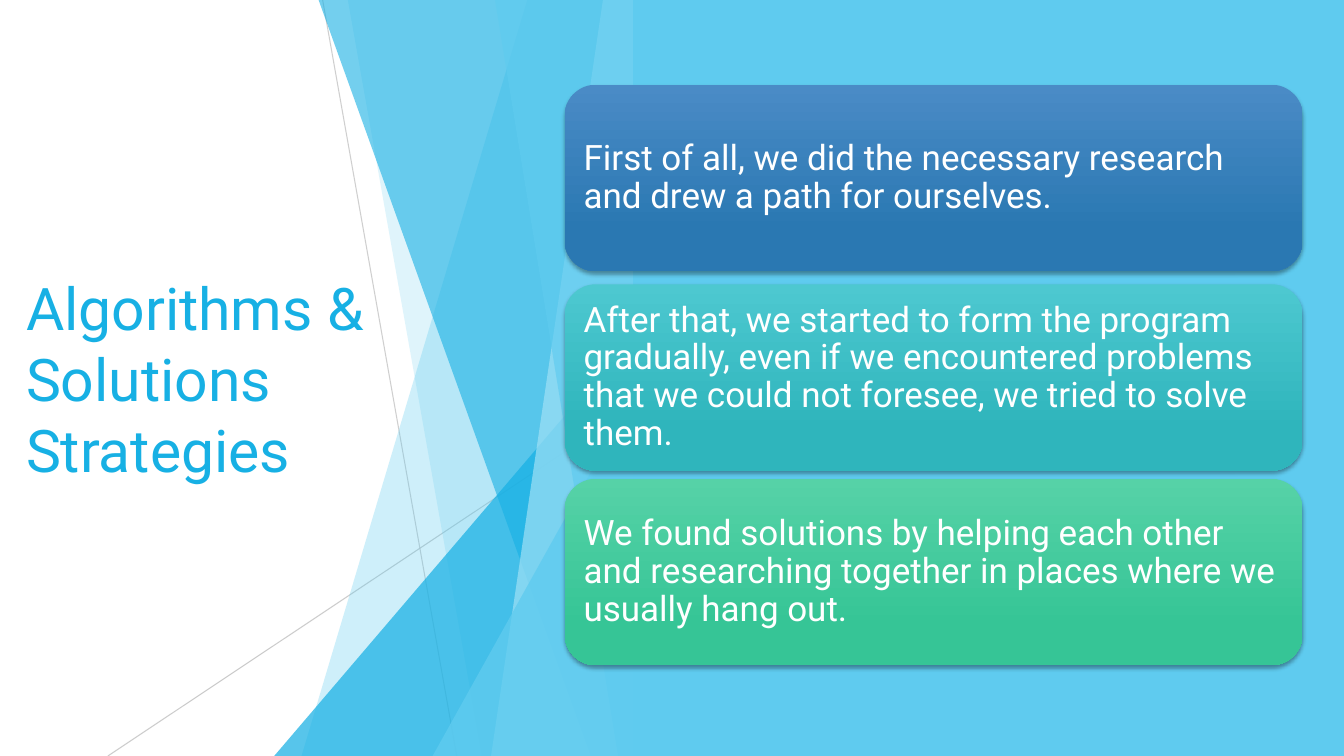
"""Build the strategies slide: a title, a faceted divider and three cards."""
from lxml import etree
from pptx import Presentation
from pptx.dml.color import RGBColor
from pptx.enum.shapes import MSO_CONNECTOR, MSO_SHAPE
from pptx.enum.text import MSO_ANCHOR, PP_ALIGN
from pptx.oxml.ns import qn
from pptx.util import Inches, Pt

LINE = MSO_CONNECTOR.STRAIGHT
TRI, RECT, ROUND = MSO_SHAPE.ISOSCELES_TRIANGLE, MSO_SHAPE.RECTANGLE, MSO_SHAPE.ROUNDED_RECTANGLE
MIDDLE, LEFT = MSO_ANCHOR.MIDDLE, PP_ALIGN.LEFT

WIDE, HIGH, EDGE = 13.33, 7.5, 6.28
TITLE = "Algorithms & Solutions Strategies"
RULES = [((3.2, 0), (4.53, HIGH), 75), ((EDGE, 4.03), (1.07, HIGH), 80)]
FACETS = [
    ("slab", 5.23, 2.99, "5FCBEF", 30),
    ("slab", 3.45, 4.78, "5FCBEF", 20),
    ("wedge", 2.72, 3.33, "17B0E4", 72),
    ("slab", 3.16, 5.86, "17B0E4", 60),
    ("slab", 5.98, 4.87, "9FE0F5", 70),
    ("slab", 4.91, 6.13, "5FCBEF", 65),
    ("wedge", 4.29, 3.93, "5FCBEF", 80),
]
CARDS = [
    (0.84, "4A8BC6", "2A78B2",
     "First of all, we did the necessary research and drew a path for ourselves."),
    (2.82, "4DC8D0", "2FB5BC",
     "After that, we started to form the program gradually, even if we encountered "
     "problems that we could not foresee, we tried to solve them."),
    (4.75, "56D2A7", "36C596",
     "We found solutions by helping each other and researching together in places "
     "where we usually hang out."),
]
SHADE = {"blurRad": Pt(3), "dist": Pt(2), "dir": 5400000, "algn": "ctr", "rotWithShape": 0}
FRAME = {"word_wrap": True, "vertical_anchor": MIDDLE, "margin_left": Inches(0.1),
         "margin_right": Inches(0.1)}
CARD_FRAME = {**FRAME, "margin_top": Inches(0.1), "margin_bottom": Inches(0.1)}


def paint(color, code):
    color.rgb = RGBColor.from_string(code)


def fade(shape, alpha):
    for clr in shape._element.spPr.iter(qn("a:srgbClr")):
        etree.SubElement(clr, qn("a:alpha")).set("val", str(alpha * 1000))


def fill(shape, code, alpha=100):
    shape.shadow.inherit = False
    shape.fill.solid()
    paint(shape.fill.fore_color, code)
    shape.line.fill.background()
    if alpha < 100:
        fade(shape, alpha)


def add_rule(shapes, start, end, alpha):
    rule = shapes.add_connector(LINE, *map(Inches, start + end))
    rule.line.width = Pt(0.75)
    paint(rule.line.color, "BFBFBF")
    fade(rule, alpha)
    etree.SubElement(rule._element.spPr, qn("a:effectLst"))


def add_slab(shapes, top, foot):
    pen = shapes.build_freeform(Inches(top), 0)
    ends = [(EDGE, 0), (EDGE, HIGH), (foot, HIGH)]
    pen.add_line_segments([(Inches(x), Inches(y)) for x, y in ends])
    return pen.convert_to_shape()


def add_wedge(shapes, left, top):
    wedge = add_box(shapes, TRI, left, top, EDGE - left, HIGH - top)
    wedge.adjustments[0] = 1
    return wedge


def add_box(shapes, kind, *place):
    return shapes.add_shape(kind, *map(Inches, place))


def write(shape, text, size, code, frame, space=1.0):
    for name, value in frame.items():
        setattr(shape.text_frame, name, value)
    para = shape.text_frame.paragraphs[0]
    para.text = text
    para.alignment, para.line_spacing = LEFT, space
    font = para.runs[0].font
    for name, value in {"size": Pt(size), "name": "Roboto"}.items():
        setattr(font, name, value)
    paint(font.color, code)


def add_card(shapes, top, light, dark, text):
    card = add_box(shapes, ROUND, 5.6, top, 7.32, 1.85)
    card.shadow.inherit = False
    card.line.fill.background()
    card.fill.gradient()
    card.fill.gradient_angle = 270
    for stop, place, code in zip(card.fill.gradient_stops, (0, 0.78), (light, dark)):
        stop.position = place
        paint(stop.color, code)
    effects = card._element.spPr.find(qn("a:effectLst"))
    shade = etree.SubElement(effects, qn("a:outerShdw"))
    for name, value in SHADE.items():
        shade.set(name, str(value))
    black = etree.SubElement(shade, qn("a:srgbClr"), val="000000")
    etree.SubElement(black, qn("a:alpha"), val="35000")
    write(card, text, 25, "FFFFFF", CARD_FRAME, 0.9)


def main():
    deck = Presentation()
    deck.slide_width, deck.slide_height = Inches(WIDE), Inches(HIGH)
    slide = deck.slides.add_slide(deck.slide_layouts[6])
    slide.background.fill.solid()
    paint(slide.background.fill.fore_color, "FFFFFF")
    shapes = slide.shapes
    for rule in RULES:
        add_rule(shapes, *rule)
    makers = {"slab": add_slab, "wedge": add_wedge}
    for kind, first, second, code, alpha in FACETS:
        fill(makers[kind](shapes, first, second), code, alpha)
    title = shapes.add_textbox(*map(Inches, (0.16, 1.51, 3.88, 4.48)))
    write(title, TITLE, 42, "17B0E4", FRAME)
    fill(add_box(shapes, RECT, EDGE, 0, WIDE - EDGE, HIGH), "5FCBEF")
    for card in CARDS:
        add_card(shapes, *card)
    deck.save("out.pptx")


if __name__ == "__main__":
    main()
